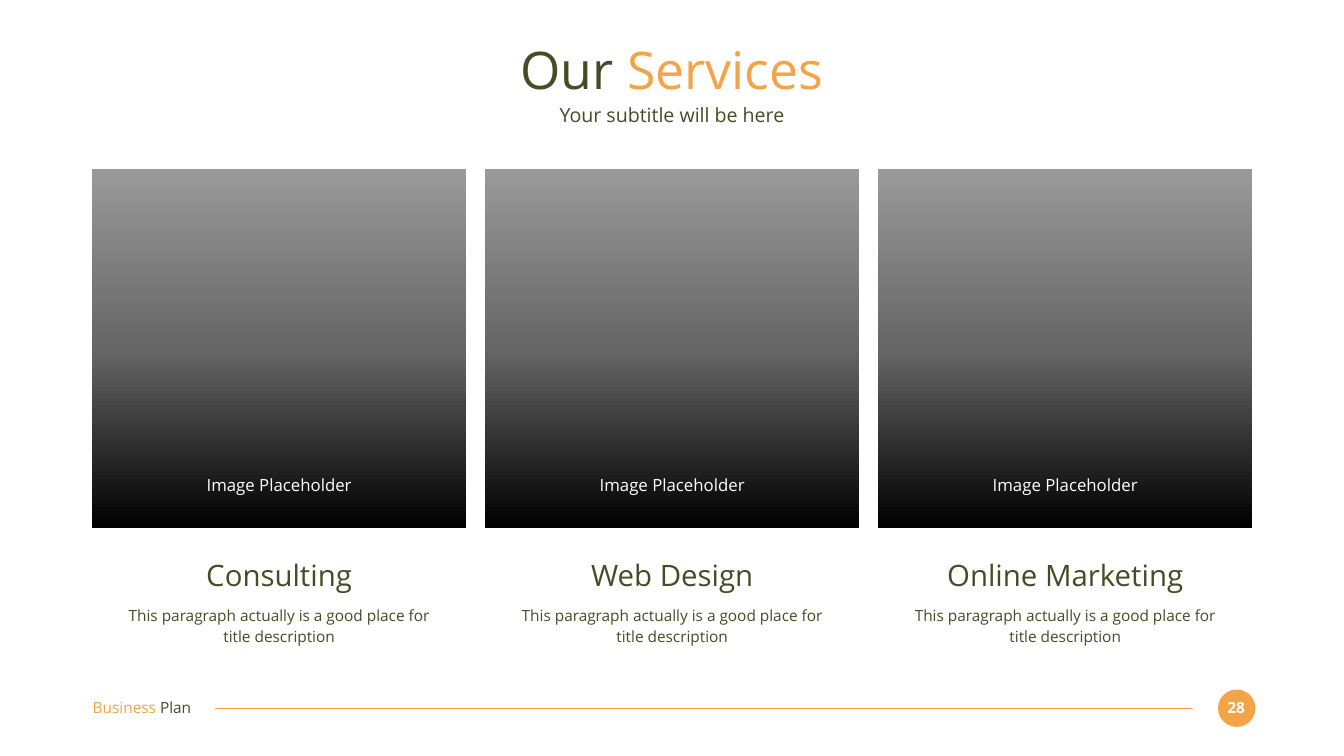
from copy import deepcopy
from dataclasses import dataclass

from lxml import etree
from pptx import Presentation
from pptx.dml.color import RGBColor
from pptx.enum.shapes import MSO_CONNECTOR as Connector, MSO_SHAPE as Shape
from pptx.enum.text import MSO_ANCHOR as Anchor, MSO_AUTO_SIZE as AutoSize, PP_ALIGN as Align
from pptx.oxml.ns import qn
from pptx.util import Pt


@dataclass(frozen=True)
class Theme:
    font: str = "Open Sans"
    accent: str = "F3A447"
    dark: str = "444D26"
    white: str = "FFFFFF"
    card_gradient: tuple = ((0, "000000"), (0.5, "666666"), (1, "999999"))
    title: int = 74
    heading: int = 42
    subtitle: int = 28
    caption: int = 24
    body: int = 22


def rgb(value):
    return RGBColor.from_string(value)


class SlideBuilder:
    def __init__(self, slide, theme):
        self.slide = slide
        self.theme = theme

    def text(self, box, runs, size, align=Align.CENTER, bold=False, spacing=None):
        """Add one paragraph made of (text, colour) runs."""
        shape = self.slide.shapes.add_textbox(*map(Pt, box))
        frame = shape.text_frame
        frame.margin_left = frame.margin_top = frame.margin_right = frame.margin_bottom = 0
        frame.word_wrap = True
        frame.vertical_anchor = Anchor.MIDDLE
        paragraph = frame.paragraphs[0]
        paragraph.alignment = align
        if spacing:
            paragraph.line_spacing = spacing
            frame.auto_size = AutoSize.TEXT_TO_FIT_SHAPE
        font = paragraph.font
        font.name, font.size, font.bold = self.theme.font, Pt(size), bold
        for content, color in runs:
            run = paragraph.add_run()
            run.text = content
            run.font.color.rgb = rgb(color)

    def shape(self, kind, box):
        shape = self.slide.shapes.add_shape(kind, *map(Pt, box))
        shape.shadow.inherit = False
        shape.line.fill.background()
        return shape

    def circle(self, box, color):
        fill = self.shape(Shape.OVAL, box).fill
        fill.solid()
        fill.fore_color.rgb = rgb(color)

    def gradient_card(self, box):
        """Add a rectangle that runs from the first colour at the bottom to the last at the top."""
        shape = self.shape(Shape.RECTANGLE, box)
        fill = shape.fill
        fill.gradient()
        fill.gradient_angle = 90
        stop_list = next(shape._element.spPr.iter(qn("a:gsLst")))
        stop_list.append(deepcopy(stop_list[0]))
        for stop, (position, color) in zip(fill.gradient_stops, self.theme.card_gradient):
            stop.position = position
            stop.color.rgb = rgb(color)

    def line(self, start, end, color, width):
        connector = self.slide.shapes.add_connector(
            Connector.STRAIGHT, *map(Pt, (*start, *end)))
        connector.line.color.rgb = rgb(color)
        connector.line.width = Pt(width)
        etree.SubElement(connector._element.spPr, qn("a:effectLst"))

    def footer(self, number):
        theme = self.theme
        self.circle((1740, 985, 53.5, 53.5), theme.accent)
        self.text((1744.5, 997, 42.5, 27), [(number, theme.white)], theme.body, bold=True)
        self.line((1704, 1011.6), (307.5, 1011.6), theme.accent, 1.5)
        self.text((132.5, 996.5, 186.5, 27),
                  [("Business ", theme.accent), ("Plan", theme.dark)],
                  theme.body, align=Align.LEFT)

    def service(self, left, width, name, description):
        theme = self.theme
        center = left + width / 2

        def centered(top, box_width, height):
            return center - box_width / 2, top, box_width, height

        self.text(centered(795.5, 445, 51), [(name, theme.dark)], theme.heading)
        self.text(centered(859, 445, 66), [(description, theme.dark)], theme.body, spacing=1.3)
        self.gradient_card((left, 242, width, 512.5))
        self.text(centered(678, 353, 29), [("Image Placeholder", theme.white)], theme.caption)


def main():
    presentation = Presentation()
    presentation.slide_width, presentation.slide_height = Pt(1920), Pt(1080)
    slide = presentation.slides.add_slide(presentation.slide_layouts[6])
    theme = Theme()
    builder = SlideBuilder(slide, theme)

    builder.footer("28")
    builder.text((132, 52.5, 1656, 91.5),
                 [("Our ", theme.dark), ("Services", theme.accent)], theme.title)
    builder.text((132, 146, 1656, 35.5),
                 [("Your subtitle will be here", theme.dark)], theme.subtitle)

    card_left, card_width, gap = 131.25, 535, 26.5
    description = "This paragraph actually is a good place for title description"
    for column, name in enumerate(("Consulting", "Web Design", "Online Marketing")):
        builder.service(card_left + column * (card_width + gap), card_width, name, description)

    presentation.save("out.pptx")


if __name__ == "__main__":
    main()
